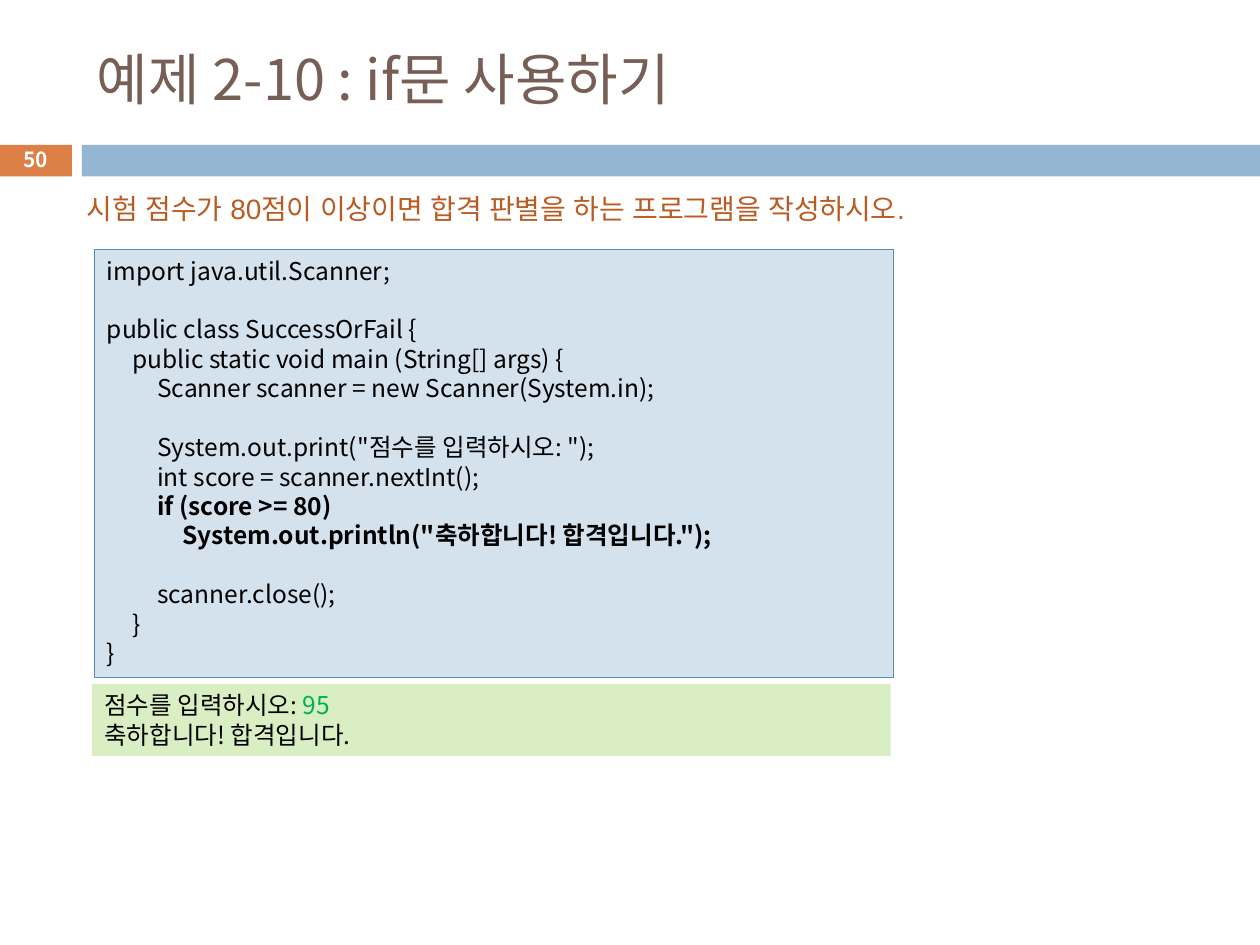
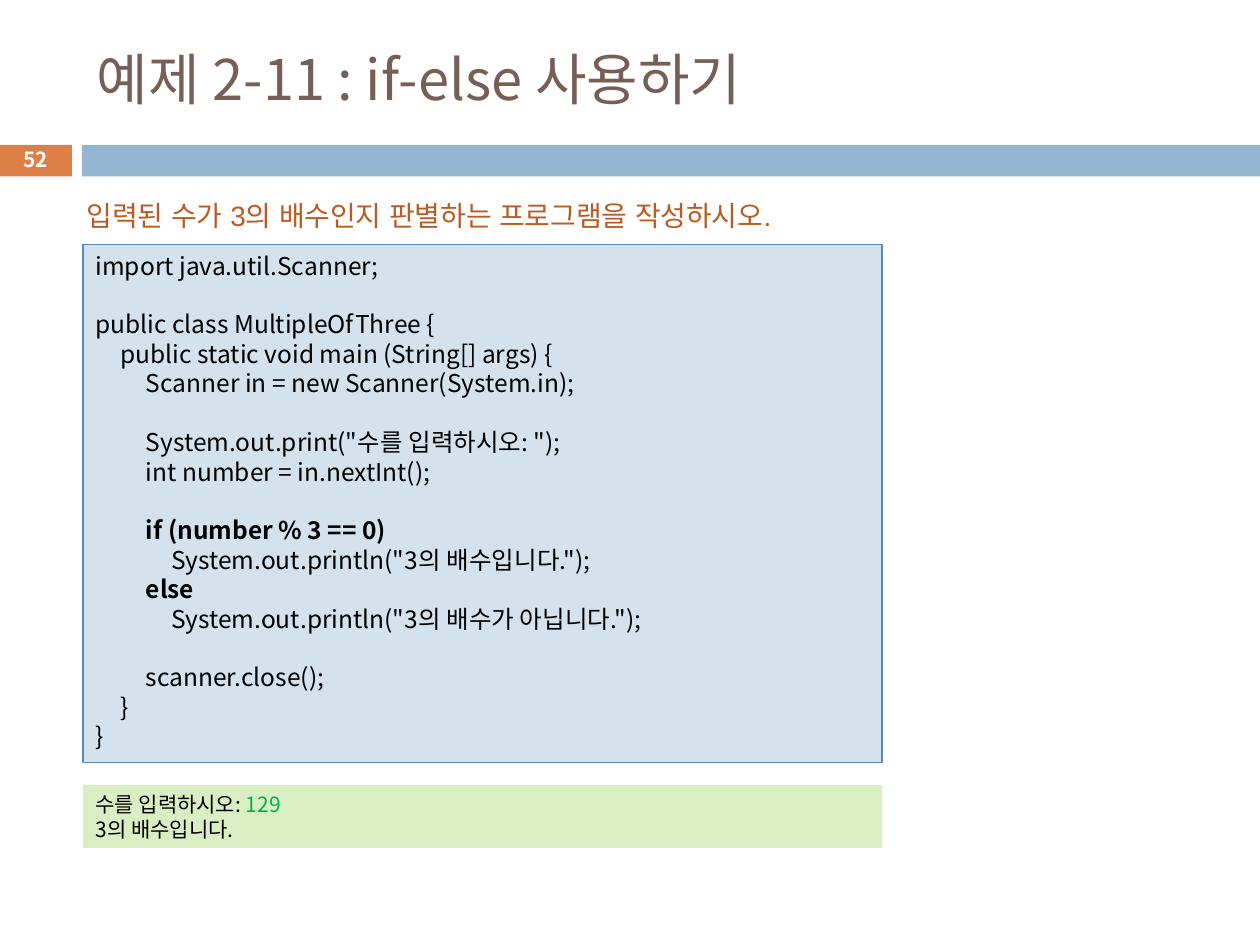
from lxml import etree
from pptx import Presentation
from pptx import util as u
from pptx.dml.color import RGBColor
from pptx.enum import shapes, text
from pptx.oxml.ns import qn

SANS, PROMPT_FONT = "Noto Sans CJK KR", "Arial"
BLACK, WHITE, BROWN, RUST, GREEN = "000000", "FFFFFF", "775F55", "B95B22", "00B050"
ORANGE, BLUE, CODE_FILL, CODE_LINE, RESULT_FILL = "DD8047", "94B6D2", "D4E2ED", "558BB8", "DAEEC4"
TAB_WIDTH = 0.2
PANEL_WIDTH = 6.34

EXAMPLES = [
    {
        "number": "50",
        "title": "예제 2-10 : if문 사용하기",
        "prompt": "시험 점수가 80점이 이상이면 합격 판별을 하는 프로그램을 작성하시오.",
        "prompt_at": (0.59, 1.47, 7.41, 0.37),
        "code": """import java.util.Scanner;

public class SuccessOrFail {
\tpublic static void main (String[] args) {
\t\tScanner scanner = new Scanner(System.in);

\t\tSystem.out.print("점수를 입력하시오: ");
\t\tint score = scanner.nextInt();
\t\tif (score >= 80)
\t\t\tSystem.out.println("축하합니다! 합격입니다.");

\t\tscanner.close();
\t}
}""",
        "bold_lines": (8, 9),
        "code_at": (0.75, 1.98, PANEL_WIDTH, 3.4),
        "result": [[("점수를 입력하시오: ", BLACK), ("95", GREEN)],
                   [("축하합니다! 합격입니다.", BLACK)]],
        "result_at": (0.73, 5.43, PANEL_WIDTH, 0.57),
        "result_size": 14,
    },
    {
        "number": "52",
        "title": "예제 2-11 : if-else 사용하기",
        "prompt": "입력된 수가 3의 배수인지 판별하는 프로그램을 작성하시오.",
        "prompt_at": (0.59, 1.53, 6.23, 0.37),
        "code": """import java.util.Scanner;

public class MultipleOfThree {
\tpublic static void main (String[] args) {
\t\tScanner in = new Scanner(System.in);

\t\tSystem.out.print("수를 입력하시오: ");
\t\tint number = in.nextInt();

\t\tif (number % 3 == 0)
\t\t\tSystem.out.println("3의 배수입니다.");
\t\telse
\t\t\tSystem.out.println("3의 배수가 아닙니다.");

\t\tscanner.close();
\t}
}""",
        "bold_lines": (9, 11),
        "code_at": (0.66, 1.94, PANEL_WIDTH, 4.11),
        "result": [[("수를 입력하시오: ", BLACK), ("129", GREEN)],
                   [("3의 배수입니다.", BLACK)]],
        "result_at": (0.66, 6.23, PANEL_WIDTH, 0.5),
        "result_size": 12,
    },
]


def color(value):
    return RGBColor.from_string(value)


def add_panel(page, at, fill, line=None):
    panel = page.shapes.add_shape(shapes.MSO_SHAPE.RECTANGLE, *map(u.Inches, at))
    panel.shadow.inherit = False
    panel.fill.solid()
    panel.fill.fore_color.rgb = color(fill)
    if line:
        panel.line.color.rgb = color(line)
        panel.line.width = u.Pt(0.75)
    else:
        panel.line.fill.background()
    return panel


def add_box(page, at):
    return page.shapes.add_textbox(*map(u.Inches, at))


def add_tab_stops(para, count=3):
    stops = etree.SubElement(para._p.get_or_add_pPr(), qn("a:tabLst"))
    for level in range(1, count + 1):
        etree.SubElement(stops, qn("a:tab"), pos=str(u.Inches(TAB_WIDTH * level)), algn="l")


def write(shape, lines, size, font=SANS, align=text.PP_ALIGN.LEFT,
          anchor=text.MSO_ANCHOR.TOP, bold_lines=(), spacing=None, tabs=False):
    frame = shape.text_frame
    frame.word_wrap = True
    frame.vertical_anchor = anchor
    for index, line in enumerate(lines):
        para = frame.paragraphs[0] if index == 0 else frame.add_paragraph()
        para.alignment = align
        if spacing:
            para.line_spacing = u.Pt(size * spacing)
        if tabs:
            add_tab_stops(para)
        for words, ink in line:
            span = para.add_run()
            span.text = words
            span.font.size = u.Pt(size)
            span.font.name = font
            span.font.bold = index in bold_lines
            span.font.color.rgb = color(ink)
            etree.SubElement(span._r.rPr, qn("a:ea"), typeface=font)


def add_frame(page, title, number):
    middle = text.MSO_ANCHOR.MIDDLE
    add_panel(page, (-0.01, 1.15, 0.58, 0.25), ORANGE)
    add_panel(page, (0.65, 1.15, 9.35, 0.25), BLUE)
    write(add_box(page, (0.67, 0.25, 8.92, 0.74)), [[(title, BROWN)]], 32, anchor=middle)
    write(add_box(page, (-0.01, 1.13, 0.58, 0.27)), [[(number, WHITE)]], 11.9,
          align=text.PP_ALIGN.CENTER, anchor=middle, bold_lines=(0,))


def add_example(page, example):
    add_frame(page, example["title"], example["number"])
    code = [[(line, BLACK)] if line else [] for line in example["code"].split("\n")]
    write(add_panel(page, example["code_at"], CODE_FILL, CODE_LINE), code, 14,
          bold_lines=example["bold_lines"], spacing=1.2, tabs=True)
    write(add_box(page, example["prompt_at"]), [[(example["prompt"], RUST)]], 16, font=PROMPT_FONT)
    write(add_panel(page, example["result_at"], RESULT_FILL), example["result"],
          example["result_size"], spacing=1.2)


def main():
    deck = Presentation()
    deck.slide_width, deck.slide_height = u.Inches(10), u.Inches(7.5)
    for example in EXAMPLES:
        add_example(deck.slides.add_slide(deck.slide_layouts[6]), example)
    deck.save("out.pptx")


if __name__ == "__main__":
    main()
